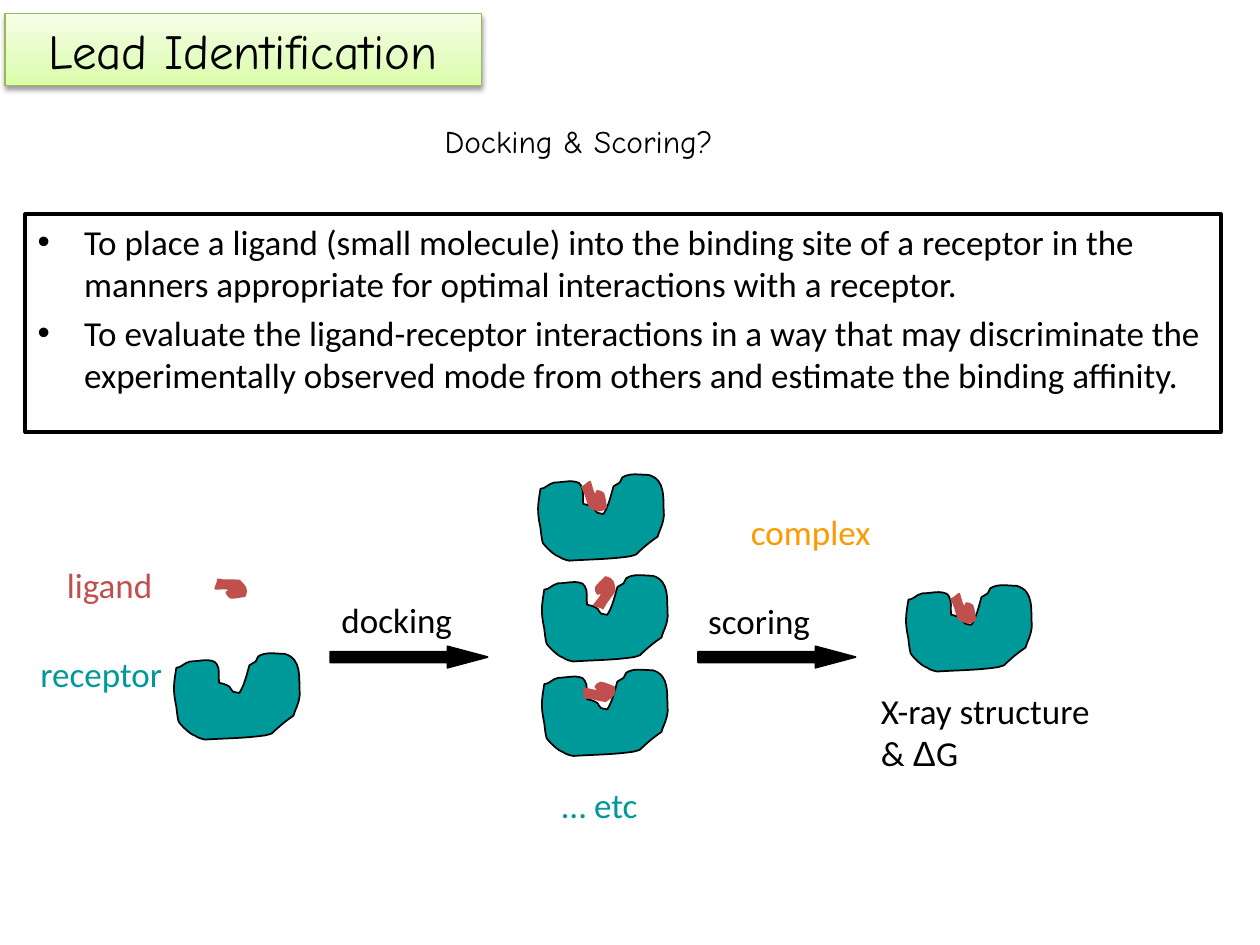
from lxml import etree
from pptx import Presentation
from pptx.dml.color import RGBColor
from pptx.enum.shapes import MSO_SHAPE
from pptx.enum.text import MSO_ANCHOR, MSO_AUTO_SIZE, PP_ALIGN
from pptx.oxml import parse_xml
from pptx.oxml.ns import qn
from pptx.util import Inches, Pt

RECTANGLE, RIGHT_ARROW = MSO_SHAPE.RECTANGLE, MSO_SHAPE.RIGHT_ARROW
TOP, MIDDLE = MSO_ANCHOR.TOP, MSO_ANCHOR.MIDDLE
LEFT, CENTER = PP_ALIGN.LEFT, PP_ALIGN.CENTER
NO_FIT = MSO_AUTO_SIZE.NONE
TITLE_ONLY = 5

# The slide is a grid of 1000 columns and 750 rows
CELL = Inches(0.01)
COLUMNS, ROWS = 1000, 750

BODY_FONT, TITLE_FONT, SYMBOL_FONT = "Calibri", "Comic Neue", "Arial"
COLORS = {
    "text": "000000", "paper": "FFFFFF", "receptor": "009999",
    "ligand": "C0504D", "complex": "FF9900", "title_line": "98B955",
}
TITLE_GRADIENT = [(0, "DAFDA7"), (35, "E4FCC2"), (100, "F5FFE7")]
NAMESPACE = 'xmlns:a="http://schemas.openxmlformats.org/drawingml/2006/main"'

# Outlines in grid cells: a start point, then three points for each curve
RECEPTOR = [
    (3, 13), (1, 26), (0, 30), (3, 44), (3, 44), (4, 54), (5, 56),
    (7, 59), (14, 66), (18, 67), (20, 69), (26, 70), (26, 70),
    (41, 69), (56, 69), (71, 67), (74, 67), (79, 65), (79, 65),
    (84, 60), (90, 55), (96, 51), (98, 44), (100, 43), (101, 34),
    (100, 21), (103, 6), (89, 2), (82, 2), (74, 0), (68, 4),
    (67, 5), (67, 7), (66, 8), (64, 10), (63, 10), (61, 11),
    (59, 18), (57, 27), (53, 33), (51, 32), (49, 33), (48, 32),
    (46, 31), (46, 28), (45, 28), (43, 26), (37, 25), (37, 25),
    (36, 20), (38, 14), (35, 10), (34, 7), (27, 7), (27, 7),
    (23, 7), (18, 8), (14, 8), (9, 9), (7, 13), (3, 13),
]
LIGAND = [
    (10, 0), (8, 5), (3, 9), (0, 14), (1, 20), (0, 23), (7, 25),
    (10, 22), (13, 20), (15, 17), (15, 15), (15, 13), (14, 12),
    (13, 11), (11, 14), (11, 13), (9, 11), (16, 5), (17, 3),
    (15, 2), (10, 1), (10, 0),
]
MIRRORED_LIGAND = [(x, 25 - y) for x, y in LIGAND]

BULLETS = [
    "To place a ligand (small molecule) into the binding site of a receptor "
    "in the manners appropriate for optimal interactions with a receptor.",
    "To evaluate the ligand-receptor interactions in a way that may "
    "discriminate the experimentally observed mode from others and estimate "
    "the binding affinity.",
]
# Receptor place, ligand offset inside it, ligand rotation
COMPLEXES = [
    ((426, 375), (37, 7), 303.2),
    ((429, 455), (42, 3), 177.7),
    ((429, 530), (38, 7), 243.2),
    ((718, 463), (38, 8), 303.2),
]
LABELS = [
    ("ligand", (53, 447, 69, 34), "ligand"),
    ("receptor", (32, 518, 98, 34), "receptor"),
    ("complex", (596, 405, 96, 34), "complex"),
    ("docking", (271, 475, 89, 34), "text"),
    ("scoring", (562, 476, 82, 34), "text"),
    ("… etc", (446, 622, 61, 34), "receptor"),
]


def cells(*counts):
    return [CELL * count for count in counts]


def color(name):
    return RGBColor.from_string(COLORS[name])


def paint(shape, fill, line, width):
    shape.shadow.inherit = False
    shape.fill.solid()
    shape.fill.fore_color.rgb = color(fill)
    shape.line.color.rgb = color(line)
    shape.line.width = Pt(width)


def set_font(paragraph, size=20, name=BODY_FONT, color_name="text"):
    paragraph.font.size = Pt(size)
    paragraph.font.name = name
    paragraph.font.color.rgb = color(color_name)


def add_title(slide, text, place):
    title = slide.shapes.title
    title.left, title.top, title.width, title.height = cells(*place)
    properties = title._element.spPr
    stops = "".join(f'<a:gs pos="{share * 1000}"><a:srgbClr val="{value}"/></a:gs>'
                    for share, value in TITLE_GRADIENT)
    properties.append(parse_xml(
        f'<a:gradFill {NAMESPACE}><a:gsLst>{stops}</a:gsLst>'
        '<a:lin ang="16200000" scaled="0"/></a:gradFill>'))
    title.line.color.rgb = color("title_line")
    title.line.width = Pt(0.75)
    properties.append(parse_xml(
        f'<a:effectLst {NAMESPACE}><a:outerShdw blurRad="{Pt(3.1)}" dist="{Pt(1.6)}" '
        'dir="5400000" rotWithShape="0"><a:srgbClr val="000000">'
        '<a:alpha val="38000"/></a:srgbClr></a:outerShdw></a:effectLst>'))
    frame = title.text_frame
    frame.text = text
    frame.auto_size = NO_FIT
    frame.vertical_anchor = MIDDLE
    frame.paragraphs[0].alignment = CENTER
    set_font(frame.paragraphs[0], 28, TITLE_FONT)


def add_bullet_box(slide, place):
    box = slide.shapes.add_shape(RECTANGLE, *cells(*place))
    paint(box, "paper", "text", 2)
    frame = box.text_frame
    frame.vertical_anchor = TOP
    frame.text = "\n".join(BULLETS)
    for index, paragraph in enumerate(frame.paragraphs):
        paragraph.alignment = LEFT
        properties = paragraph._p.get_or_add_pPr()
        properties.set("marL", str(Inches(0.37)))
        properties.set("indent", str(-Inches(0.37)))
        etree.SubElement(properties, qn("a:buFont")).set("typeface", SYMBOL_FONT)
        etree.SubElement(properties, qn("a:buChar")).set("char", "•")
        if index:
            paragraph.space_before = Pt(4)
        set_font(paragraph)


def add_label(slide, text, place, color_name="text", inset=False, **font):
    frame = slide.shapes.add_textbox(*cells(*place)).text_frame
    frame.word_wrap = False
    if not inset:
        frame.margin_left = frame.margin_top = 0
        frame.margin_right = frame.margin_bottom = 0
    frame.text = text
    for paragraph in frame.paragraphs:
        set_font(paragraph, color_name=color_name, **font)
    return frame


def add_result_label(slide, place):
    frame = add_label(slide, "X-ray structure\n& ", place)
    energy = frame.paragraphs[1]
    delta = energy.add_run()
    delta.text = "Δ"
    delta.font.name = SYMBOL_FONT
    energy.add_run().text = "G"


def add_blob(slide, outline, place, fill, line, rotation=0):
    builder = slide.shapes.build_freeform(*outline[0], scale=CELL)
    builder.add_line_segments(outline[1:], close=True)
    blob = builder.convert_to_shape(*cells(*place))
    # Join each three straight segments into one curve
    segments = list(blob._element.iter(qn("a:lnTo")))
    for first in range(0, len(segments), 3):
        curve = etree.Element(qn("a:cubicBezTo"))
        segments[first].addprevious(curve)
        for segment in segments[first:first + 3]:
            curve.append(segment[0])
            segment.getparent().remove(segment)
    paint(blob, fill, line, 1)
    blob.rotation = rotation


def add_receptor(slide, place):
    add_blob(slide, RECEPTOR, place, "receptor", "text")


def add_ligand(slide, place, rotation, outline=LIGAND):
    add_blob(slide, outline, place, "ligand", "ligand", rotation)


def add_arrow(slide, left):
    arrow = slide.shapes.add_shape(RIGHT_ARROW, *cells(left, 513, 125, 17))
    arrow.adjustments[1] = 1.875
    paint(arrow, "text", "text", 1)


def main():
    presentation = Presentation()
    presentation.slide_width, presentation.slide_height = cells(COLUMNS, ROWS)
    slide = presentation.slides.add_slide(presentation.slide_layouts[TITLE_ONLY])

    # Heading and definitions
    add_title(slide, "Lead Identification", (4, 11, 378, 57))
    add_label(slide, "Docking & Scoring?", (343, 92, 246, 40),
              inset=True, size=18, name=TITLE_FONT)
    add_bullet_box(slide, (20, 170, 949, 173))

    # Separate molecules, docked poses and the scored complex
    add_ligand(slide, (175, 454), 128.8, MIRRORED_LIGAND)
    add_receptor(slide, (137, 517))
    for (left, top), (across, down), rotation in COMPLEXES:
        add_receptor(slide, (left, top))
        add_ligand(slide, (left + across, top + down), rotation)

    # Steps and labels
    for left in (262, 554):
        add_arrow(slide, left)
    for text, place, color_name in LABELS:
        add_label(slide, text, place, color_name)
    add_result_label(slide, (699, 547, 169, 67))

    presentation.save("out.pptx")


if __name__ == "__main__":
    main()
